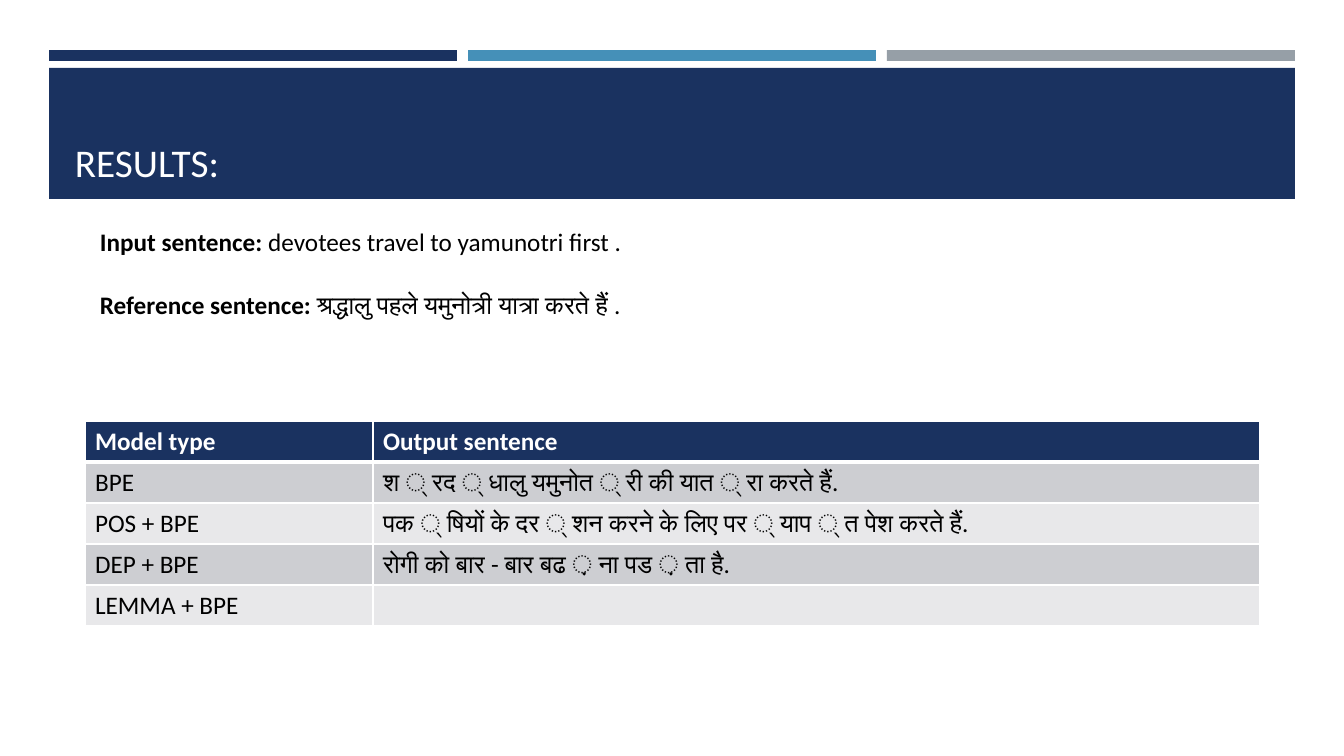
from lxml import etree
from pptx import Presentation
from pptx.dml.color import RGBColor
from pptx.enum.shapes import MSO_SHAPE as Shape
from pptx.enum.text import MSO_ANCHOR as Anchor
from pptx.oxml.ns import qn
from pptx.util import Emu, Pt

# Content
TITLE = "RESULTS:"
SENTENCES = [
    ("Input sentence: ", "devotees travel to yamunotri first ."),
    ("Reference sentence: ", "श्रद्धालु पहले यमुनोत्री यात्रा करते हैं ."),
]
RESULTS = [
    ("Model type", "Output sentence"),
    ("BPE", "श ् रद ् धालु यमुनोत ् री की यात ् रा करते हैं."),
    ("POS + BPE", "पक ् षियों के दर ् शन करने के लिए पर ् याप ् त पेश करते हैं."),
    ("DEP + BPE", "रोगी को बार - बार बढ ़ ना पड ़ ता है."),
    ("LEMMA + BPE", ""),
]

# Style and layout, in px
FONT = "Calibri"
NAVY, BLUE, GRAY = "1A3260", "4590B8", "969FA7"
WHITE, BLACK = "FFFFFF", "000000"
ROW_FILLS = ["E8E8EA", "CDCED2"]
COLUMN_WIDTHS = [288, 887]
ROW_HEIGHT = 41
LEFT, BAR_STEP = 49, 419
SENTENCE_TOP, SENTENCE_STEP = 221, 63


def px(length):
    return Emu(round(length * 914400 / 100.8))


def color(value):
    return RGBColor.from_string(value)


def set_font(font, size, fill, bold=None):
    font.name, font.size, font.bold = FONT, Pt(size), bold
    font.color.rgb = color(fill)


def add_bar(left, top, width, height, fill):
    shape = slide.shapes.add_shape(Shape.RECTANGLE, *map(px, (left, top, width, height)))
    shape.shadow.inherit = False
    shape.fill.solid()
    shape.fill.fore_color.rgb = color(fill)
    shape.line.fill.background()


def add_text(left, top, width, height, anchor):
    frame = slide.shapes.add_textbox(*map(px, (left, top, width, height))).text_frame
    frame.word_wrap = True
    frame.vertical_anchor = anchor
    return frame.paragraphs[0]


def set_borders(cell, widths):
    properties = cell._tc.get_or_add_tcPr()
    for index, (side, points) in enumerate(widths.items()):
        line = etree.Element(qn(f"a:ln{side}"), w=str(Pt(points)))
        fill = etree.SubElement(line, qn("a:solidFill"))
        etree.SubElement(fill, qn("a:srgbClr"), val=WHITE)
        properties.insert(index, line)


presentation = Presentation()
presentation.slide_width, presentation.slide_height = px(1344), px(756)
slide = presentation.slides.add_slide(presentation.slide_layouts[6])

# Top bars and title band
for index, fill in enumerate([NAVY, BLUE, GRAY]):
    add_bar(LEFT + index * BAR_STEP, 50, 408, 11, fill)
add_bar(LEFT, 68, 1246, 131, NAVY)
title = add_text(65, 78, 1216, 112, Anchor.BOTTOM)
title.text = TITLE
set_font(title.font, 28, WHITE)

# Input and reference sentences
for index, (label, sentence) in enumerate(SENTENCES):
    paragraph = add_text(90, SENTENCE_TOP + index * SENTENCE_STEP, 1152, 40, Anchor.TOP)
    set_font(paragraph.font, 18, BLACK)
    label_run = paragraph.add_run()
    label_run.text = label
    label_run.font.bold = True
    paragraph.add_run().text = sentence

# Results table
table = slide.shapes.add_table(
    len(RESULTS), len(COLUMN_WIDTHS), px(85), px(421),
    px(sum(COLUMN_WIDTHS)), px(ROW_HEIGHT * len(RESULTS))).table
for column, width in zip(table.columns, COLUMN_WIDTHS):
    column.width = px(width)
for row_index, texts in enumerate(RESULTS):
    header = row_index == 0
    table.rows[row_index].height = px(ROW_HEIGHT)
    for column_index, text in enumerate(texts):
        cell = table.cell(row_index, column_index)
        cell.text = text
        set_font(cell.text_frame.paragraphs[0].font, 18, WHITE if header else BLACK, header)
        cell.fill.solid()
        cell.fill.fore_color.rgb = color(NAVY if header else ROW_FILLS[row_index % 2])
        set_borders(cell, {"L": 1, "R": 1, "T": 3 if row_index == 1 else 1, "B": 3 if header else 1})

presentation.save("out.pptx")
